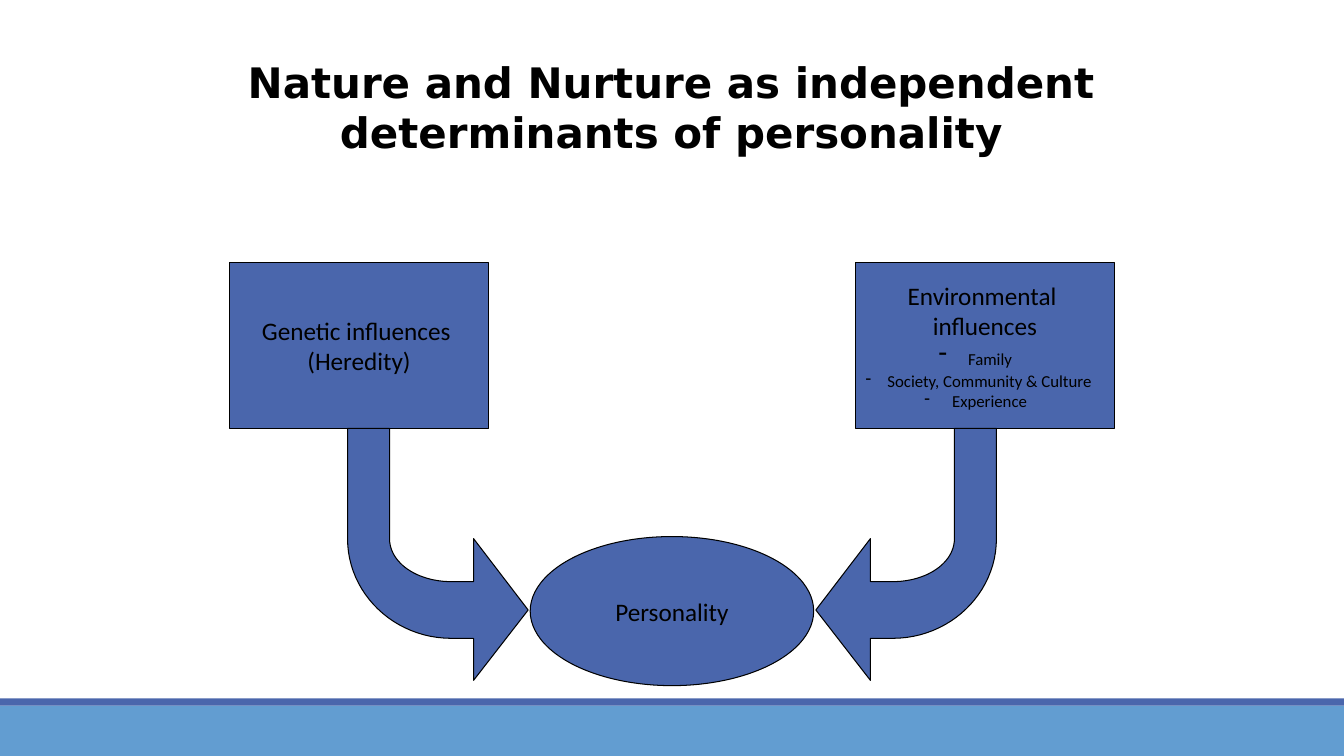
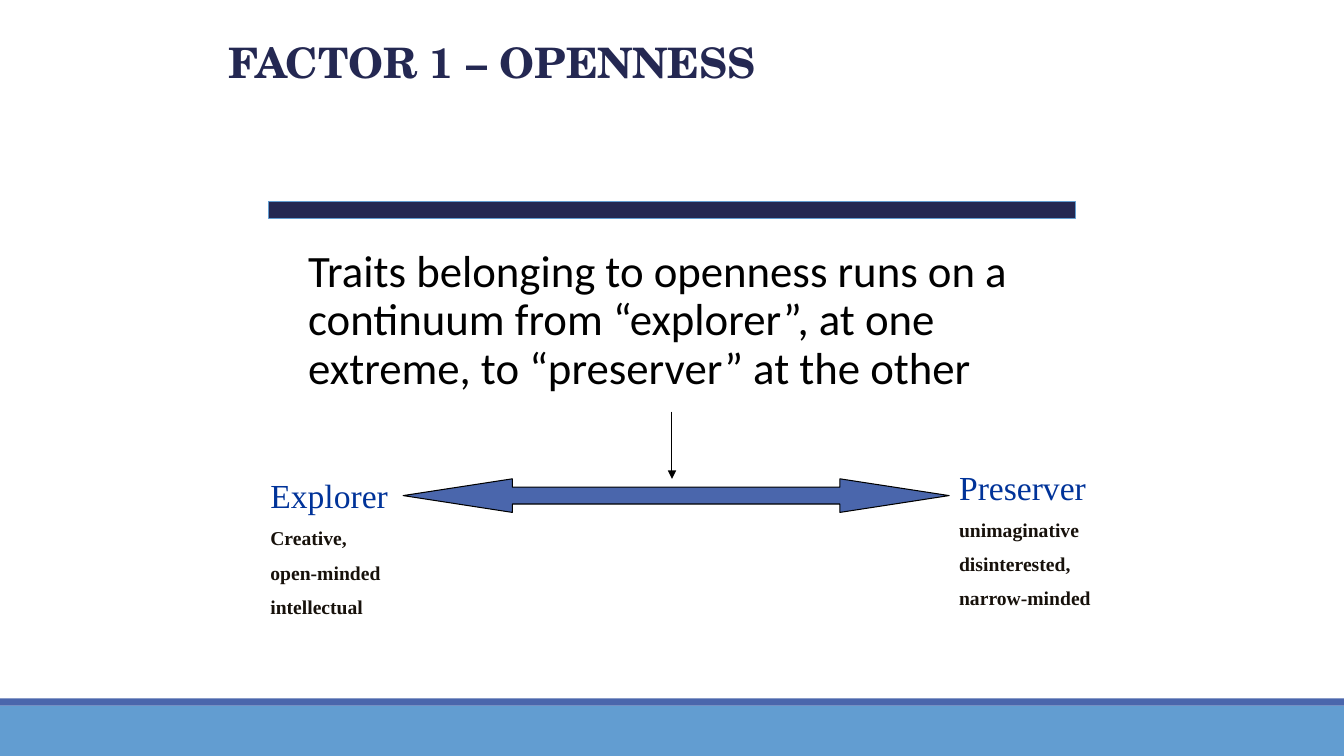
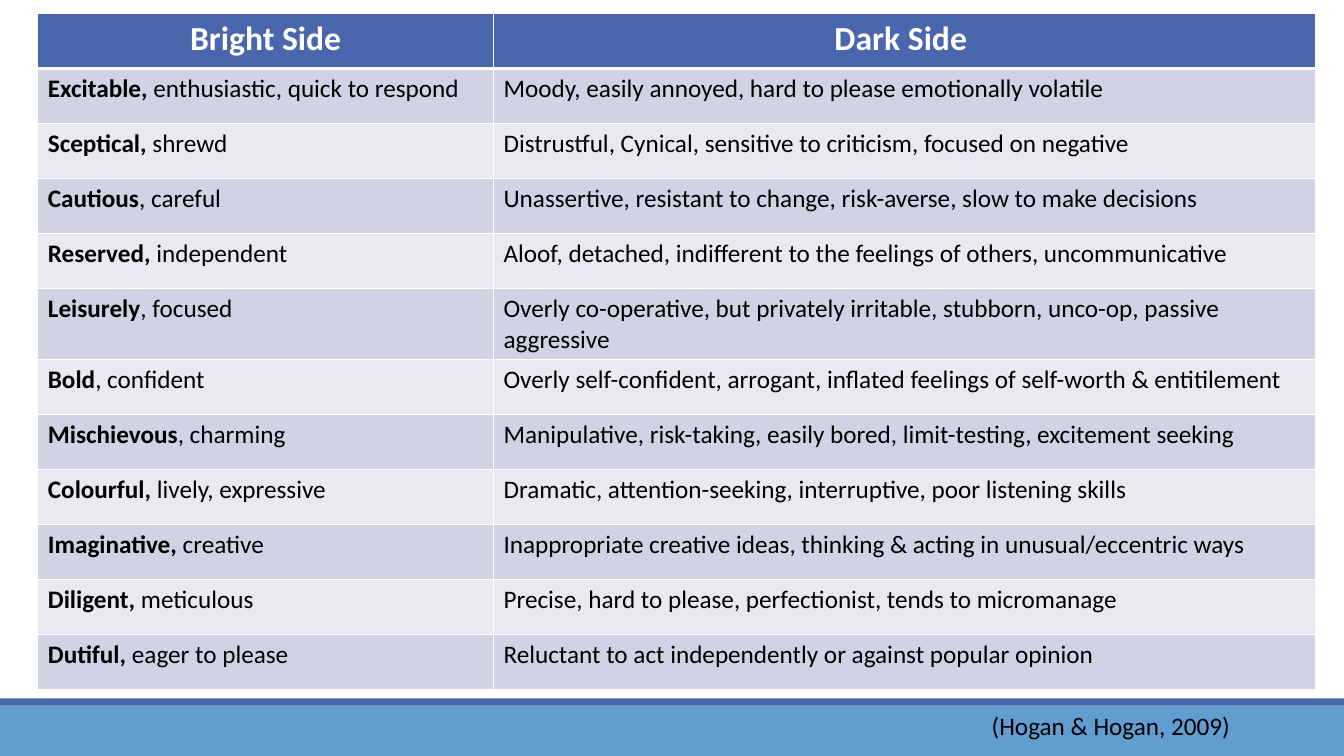
from dataclasses import dataclass

from lxml import etree
from pptx import Presentation
from pptx.dml.color import RGBColor
from pptx.enum.shapes import MSO_CONNECTOR, MSO_SHAPE
from pptx.enum.text import MSO_ANCHOR, PP_ALIGN
from pptx.oxml.ns import qn
from pptx.util import Emu, Pt

EMU_PER_PX = 9525
PAGE_WIDTH, PAGE_HEIGHT = 1280, 720
RECT, OVAL = MSO_SHAPE.RECTANGLE, MSO_SHAPE.OVAL
DOUBLE_ARROW = MSO_SHAPE.LEFT_RIGHT_ARROW
STRAIGHT = MSO_CONNECTOR.STRAIGHT
LEFT, CENTER = PP_ALIGN.LEFT, PP_ALIGN.CENTER
TOP, MIDDLE, BOTTOM = MSO_ANCHOR.TOP, MSO_ANCHOR.MIDDLE, MSO_ANCHOR.BOTTOM

COLORS = {
    "black": "000000",
    "white": "FFFFFF",
    "blue": "4A66AC",
    "sky": "629DD1",
    "navy": "242852",
    "pole": "003399",
    "trait": "17110B",
    "dark_row": "D0D3E3",
    "light_row": "E9EAF1",
}
BODY_FONT = "Calibri"
TITLE_SIZE = 30


@dataclass(frozen=True)
class Area:
    left: int
    top: int
    width: int
    height: int

    def mirrored(self) -> "Area":
        return Area(PAGE_WIDTH - self.left - self.width, self.top, self.width, self.height)


@dataclass(frozen=True)
class Span:
    text: str
    size: float | None = None
    bold: bool | None = None


@dataclass(frozen=True)
class Para:
    spans: tuple[Span, ...]
    size: float = 18
    color: str = "black"
    font: str = BODY_FONT
    bold: bool = False
    align: PP_ALIGN = LEFT
    before: float = 0
    line_spacing: float = 1.0
    bullet: str = ""
    indent: int = 0


@dataclass(frozen=True)
class Pole:
    area: Area
    name: str
    traits: tuple[str, ...]


@dataclass(frozen=True)
class Trait:
    name: str
    bright: str
    dark: str


POLES = (
    Pole(Area(248, 448, 224, 151), "Explorer", ("Creative,", "open-minded", "intellectual")),
    Pole(Area(904, 440, 216, 151), "Preserver", ("unimaginative", "disinterested,", "narrow-minded")),
)

TRAITS = (
    Trait("Excitable, ", "enthusiastic, quick to respond",
          "Moody, easily annoyed, hard to please emotionally volatile"),
    Trait("Sceptical, ", "shrewd",
          "Distrustful, Cynical, sensitive to criticism, focused on negative"),
    Trait("Cautious", ", careful",
          "Unassertive, resistant to change, risk-averse, slow to make decisions"),
    Trait("Reserved, ", "independent",
          "Aloof, detached, indifferent to the feelings of others, uncommunicative"),
    Trait("Leisurely", ", focused",
          "Overly co-operative, but privately irritable, stubborn, unco-op, passive aggressive"),
    Trait("Bold", ", confident",
          "Overly self-confident, arrogant, inflated feelings of self-worth & entitilement"),
    Trait("Mischievous", ", charming",
          "Manipulative, risk-taking, easily bored, limit-testing, excitement seeking"),
    Trait("Colourful, ", "lively, expressive",
          "Dramatic, attention-seeking, interruptive, poor listening skills"),
    Trait("Imaginative, ", "creative",
          "Inappropriate creative ideas, thinking & acting in unusual/eccentric ways"),
    Trait("Diligent, ", "meticulous",
          "Precise, hard to please, perfectionist, tends to micromanage"),
    Trait("Dutiful, ", "eager to please",
          "Reluctant to act independently or against popular opinion"),
)


def px(length: float) -> Emu:
    return Emu(round(length * EMU_PER_PX))


def rgb(name: str) -> RGBColor:
    return RGBColor.from_string(COLORS[name])


def bounds(area: Area) -> tuple[Emu, ...]:
    return px(area.left), px(area.top), px(area.width), px(area.height)


def line(text: str, **style) -> Para:
    return Para((Span(text),), **style)


def write(frame, paras: list[Para]) -> None:
    for index, para in enumerate(paras):
        target = frame.add_paragraph() if index else frame.paragraphs[0]
        properties = target._p.get_or_add_pPr()
        if para.indent:
            properties.set("marL", str(px(para.indent)))
            properties.set("indent", "0")
        if para.bullet:
            etree.SubElement(properties, qn("a:buChar")).set("char", para.bullet)
        target.alignment = para.align
        target.line_spacing = para.line_spacing
        if para.before and index:
            target.space_before = Pt(para.before)
        target.font.name = para.font
        target.font.size = Pt(para.size)
        target.font.bold = para.bold
        target.font.color.rgb = rgb(para.color)
        for span in para.spans:
            run = target.add_run()
            run.text = span.text
            if span.size is not None:
                run.font.size = Pt(span.size)
            if span.bold is not None:
                run.font.bold = span.bold


def add_text(page, area: Area, paras: list[Para], wrap: bool = True, anchor: MSO_ANCHOR = TOP) -> None:
    frame = page.shapes.add_textbox(*bounds(area)).text_frame
    frame.word_wrap = wrap
    frame.vertical_anchor = anchor
    write(frame, paras)


def paint(shape, fill: str, outline: str = "") -> None:
    shape.shadow.inherit = False
    shape.fill.solid()
    shape.fill.fore_color.rgb = rgb(fill)
    if outline:
        shape.line.color.rgb = rgb(outline)
        shape.line.width = Pt(0.75)
    else:
        shape.line.fill.background()


def add_block(page, kind: MSO_SHAPE, area: Area, fill: str = "blue", outline: str = ""):
    shape = page.shapes.add_shape(kind, *bounds(area))
    paint(shape, fill, outline)
    return shape


def add_node(page, kind: MSO_SHAPE, area: Area, paras: list[Para]) -> None:
    frame = add_block(page, kind, area, outline="black").text_frame
    frame.word_wrap = False
    frame.vertical_anchor = MIDDLE
    write(frame, paras)


def curve(points: list[tuple[int, int]], steps: int = 24) -> list[tuple[float, float]]:
    return [
        tuple(
            (1 - t) ** 3 * a + 3 * (1 - t) ** 2 * t * b + 3 * (1 - t) * t * t * c + t ** 3 * d
            for a, b, c, d in zip(*points)
        )
        for t in (step / steps for step in range(steps + 1))
    ]


def add_bent_arrow(page, mirrored: bool) -> None:
    outer = curve([(430, 608), (375, 608), (331, 565), (331, 513)])
    inner = curve([(371, 513), (371, 536), (397, 554), (430, 554)])
    outline = [(503, 581), (451, 648), (451, 608), *outer, (331, 408), (371, 408),
               *inner, (451, 554), (451, 513)]
    start, *rest = [(px(PAGE_WIDTH - x if mirrored else x), px(y)) for x, y in outline]
    builder = page.shapes.build_freeform(*start, scale=1.0)
    builder.add_line_segments(rest, close=True)
    paint(builder.convert_to_shape(), "blue", "black")


def add_pointer(page, x: int, top: int, bottom: int) -> None:
    pointer = page.shapes.add_connector(STRAIGHT, px(x), px(top), px(x), px(bottom))
    pointer.line.color.rgb = rgb("black")
    pointer.line.width = Pt(0.75)
    etree.SubElement(pointer.line._get_or_add_ln(), qn("a:tailEnd")).set("type", "triangle")
    etree.SubElement(pointer._element.spPr, qn("a:effectLst"))


def add_page(deck):
    page = deck.slides.add_slide(deck.slide_layouts[6])
    add_block(page, RECT, Area(0, 672, PAGE_WIDTH, 48), "sky")
    add_block(page, RECT, Area(0, 665, PAGE_WIDTH, 7))
    return page


def fill_cell(cell, fill: str, para: Para, bottom: float) -> None:
    properties = cell._tc.get_or_add_tcPr()
    for side, width in (("lnL", 1), ("lnR", 1), ("lnT", 1), ("lnB", bottom)):
        border = etree.SubElement(properties, qn(f"a:{side}"), w=str(Pt(width)))
        solid = etree.SubElement(border, qn("a:solidFill"))
        etree.SubElement(solid, qn("a:srgbClr"), val=COLORS["white"])
    cell.fill.solid()
    cell.fill.fore_color.rgb = rgb(fill)
    write(cell.text_frame, [para])


def build_influences(deck) -> None:
    page = add_page(deck)
    heredity = Area(219, 250, 246, 158)
    add_node(page, OVAL, Area(505, 511, 270, 142), [line("Personality", align=CENTER)])
    add_node(page, RECT, heredity,
             [line(text, align=CENTER) for text in ("Genetic influences ", "(Heredity)")])
    sources = (
        (Span(" ", 18), Span("Family ")),
        (Span(" Society, Community & Culture"),),
        (Span(" Experience"),),
    )
    add_node(page, RECT, heredity.mirrored(), [
        *(line(text, align=CENTER) for text in ("Environmental ", "influences")),
        *(Para(spans, size=12, align=CENTER, bullet="-") for spans in sources),
    ])
    for mirrored in (False, True):
        add_bent_arrow(page, mirrored)
    title = ("Nature and Nurture as independent ", "determinants of personality")
    add_text(page, Area(220, 49, 839, 107), [
        line(text, size=TITLE_SIZE, font="DejaVu Sans", bold=True, align=CENTER) for text in title
    ], wrap=False)


def build_openness(deck) -> None:
    page = add_page(deck)
    add_text(page, Area(248, 232, 816, 264), [line(
        "Traits belonging to openness runs on a continuum from “explorer”, "
        "at one extreme, to “preserver” at the other",
        size=32, line_spacing=0.9, indent=36,
    )])
    add_block(page, RECT, Area(256, 192, 768, 16), "navy", "sky")
    for pole in POLES:
        add_text(page, pole.area, [
            line(pole.name, size=24, color="pole", font="Times New Roman"),
            *(line(trait, size=14, color="trait", font="Times New Roman", bold=True, before=7.6)
              for trait in pole.traits),
        ])
    continuum = add_block(page, DOUBLE_ARROW, Area(384, 456, 520, 32), outline="black")
    continuum.adjustments[0] = 0.5
    continuum.adjustments[1] = 3.25
    add_pointer(page, 640, 392, 456)
    add_text(page, Area(208, 0, 864, 88), [
        line("FACTOR 1 – OPENNESS", size=TITLE_SIZE, color="navy", font="TeX Gyre Schola", bold=True)
    ], anchor=BOTTOM)


def build_sides(deck) -> None:
    page = add_page(deck)
    area = Area(36, 13, 1217, 628)
    table = page.shapes.add_table(len(TRAITS) + 1, 2, *bounds(area)).table
    table.first_row = False
    table.horz_banding = False
    for column, width in zip(table.columns, (434, 783)):
        column.width = px(width)
    for column, heading in enumerate(("Bright Side", "Dark Side ")):
        para = line(heading, size=24, color="white", bold=True, align=CENTER)
        fill_cell(table.cell(0, column), "blue", para, bottom=3)
    for row, trait in enumerate(TRAITS, start=1):
        fill = "dark_row" if row % 2 else "light_row"
        bright = Para((Span(trait.name, bold=True), Span(trait.bright)))
        for column, para in enumerate((bright, line(trait.dark))):
            fill_cell(table.cell(row, column), fill, para, bottom=1)
    add_text(page, Area(935, 672, 311, 38), [line("(Hogan & Hogan, 2009)")])


def main() -> None:
    deck = Presentation()
    deck.slide_width = px(PAGE_WIDTH)
    deck.slide_height = px(PAGE_HEIGHT)
    build_influences(deck)
    build_openness(deck)
    build_sides(deck)
    deck.save("out.pptx")


if __name__ == "__main__":
    main()
